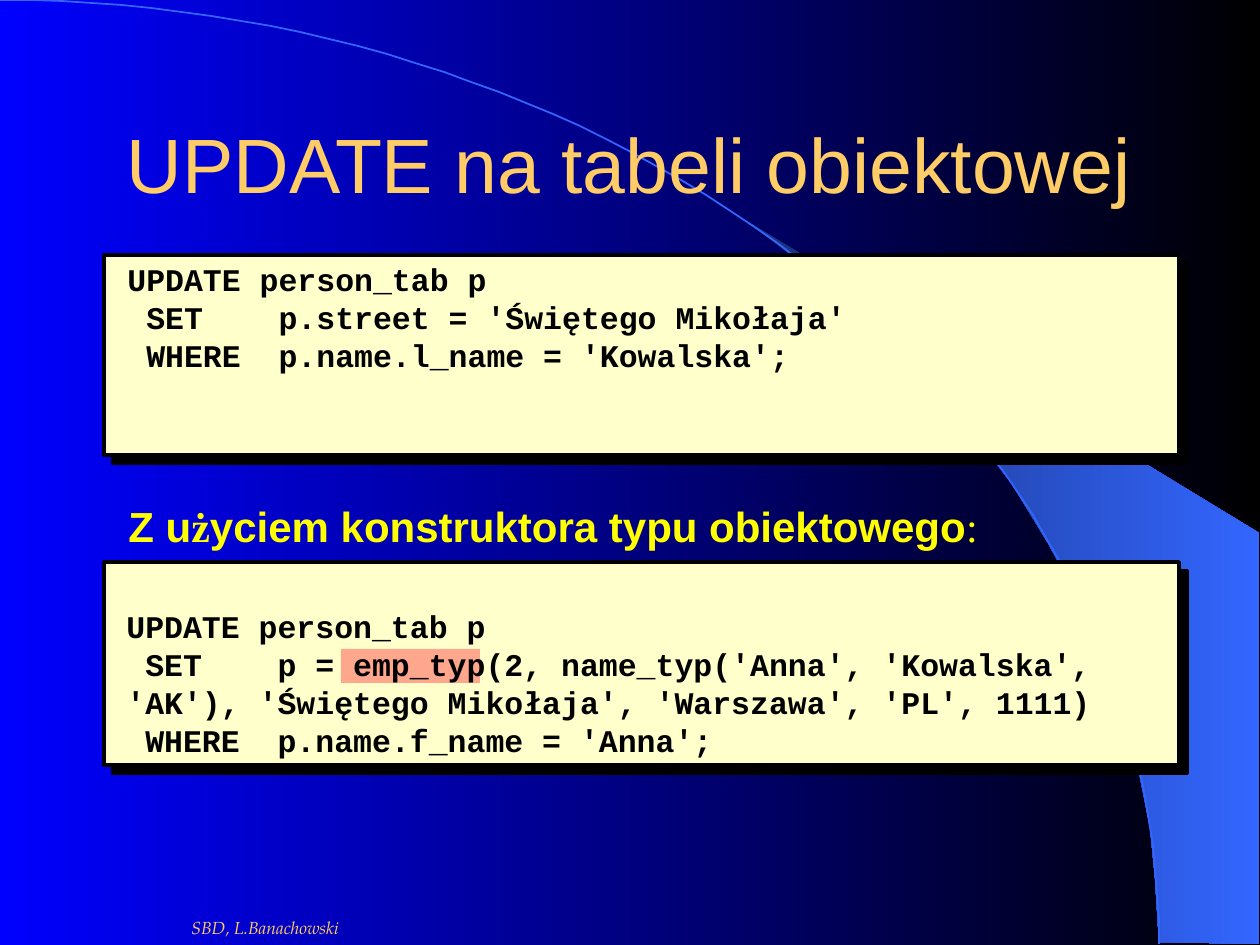
import math
import pptx
import pptx.util
import pptx.dml.color
import pptx.enum.shapes
import pptx.enum.text
import pptx.oxml
import pptx.oxml.ns

RGB = pptx.dml.color.RGBColor
BLUE = RGB(0x00, 0x00, 0xFF)
BLACK = RGB(0x00, 0x00, 0x00)
NAVY = RGB(0x18, 0x2F, 0x76)
SKY = RGB(0x33, 0x66, 0xFF)
GOLD = RGB(0xFF, 0xCC, 0x66)
CREAM = RGB(0xFF, 0xFF, 0xCC)
RED = RGB(0xFF, 0x50, 0x50)
YELLOW = RGB(0xFF, 0xFF, 0x00)

SCALE = 914400 / 126
NAMESPACE = pptx.oxml.ns.nsdecls("a")
SHADOW = (
    f'<a:effectLst {NAMESPACE}><a:outerShdw dist="90170" dir="2700000" '
    'algn="ctr" rotWithShape="0"><a:srgbClr val="000000"/></a:outerShdw></a:effectLst>'
)
ALPHA = f'<a:alpha {NAMESPACE} val="50000"/>'

BAND = [
    (1159, 942), (1259, 944), (1259, 533), (742, 218), (786, 251), (823, 280),
    (863, 315), (902, 353), (960, 416), (1012, 484), (1048, 543), (1081, 604),
    (1106, 665), (1125, 721), (1138, 767), (1150, 827), (1155, 877),
]
ARC_WIDTH, ARC_HEIGHT, ARC_STEPS = 1159, 944, 60

FIRST_UPDATE = [
    "UPDATE person_tab p",
    " SET    p.street = 'Świętego Mikołaja'",
    " WHERE  p.name.l_name = 'Kowalska';",
]
SECOND_UPDATE = [
    "UPDATE person_tab p",
    " SET    p = emp_typ(2, name_typ('Anna', 'Kowalska', 'AK'), "
    "'Świętego Mikołaja', 'Warszawa', 'PL', 1111)",
    " WHERE  p.name.f_name = 'Anna';",
]


def px(length):
    return pptx.util.Emu(round(length * SCALE))


class SlideBuilder:
    def __init__(self, deck):
        self.slide = deck.slides.add_slide(deck.slide_layouts[6])
        self.shapes = self.slide.shapes

    def gradient(self, fill, start, end):
        fill.gradient()
        fill.gradient_angle = 0
        for stop, color in zip(fill.gradient_stops, (start, end)):
            stop.color.rgb = color

    def outline(self, points, close):
        builder = self.shapes.build_freeform(*points[0], scale=SCALE)
        builder.add_line_segments(points[1:], close=close)
        shape = builder.convert_to_shape()
        shape.shadow.inherit = False
        return shape

    def band(self, points):
        shape = self.outline(points, True)
        self.gradient(shape.fill, NAVY, SKY)
        shape.line.fill.background()

    def arc(self, width, height, steps):
        angles = [math.pi / 2 * step / steps for step in range(steps + 1)]
        points = [
            (round(width * math.sin(angle), 2), round(height * (1 - math.cos(angle)), 2))
            for angle in angles
        ]
        shape = self.outline(points, False)
        shape.fill.background()
        shape.line.color.rgb = SKY
        shape.line.width = pptx.util.Pt(1)

    def rectangle(self, left, top, width, height, color):
        shape = self.shapes.add_shape(
            pptx.enum.shapes.MSO_SHAPE.RECTANGLE, px(left), px(top), px(width), px(height)
        )
        shape.shadow.inherit = False
        shape.fill.solid()
        shape.fill.fore_color.rgb = color
        shape.line.fill.background()
        return shape

    def panel(self, left, top, width, height):
        shape = self.rectangle(left, top, width, height, CREAM)
        shape.line.color.rgb = BLACK
        shape.line.width = pptx.util.Pt(2)
        properties = shape._element.spPr
        properties.remove(properties.find(pptx.oxml.ns.qn("a:effectLst")))
        properties.append(pptx.oxml.parse_xml(SHADOW))

    def highlight(self, left, top, width, height):
        shape = self.rectangle(left, top, width, height, RED)
        color = shape._element.spPr.find(".//" + pptx.oxml.ns.qn("a:srgbClr"))
        color.append(pptx.oxml.parse_xml(ALPHA))

    def text(self, left, top, width, height, lines, size, color, font="Arial",
             bold=False, italic=False):
        box = self.shapes.add_textbox(px(left), px(top), px(width), px(height))
        frame = box.text_frame
        frame.word_wrap = True
        frame.text = "\n".join(lines)
        for para in frame.paragraphs:
            para.font.size = pptx.util.Pt(size)
            para.font.name = font
            para.font.color.rgb = color
            para.font.bold = bold
            para.font.italic = italic
        return frame

    def code(self, left, top, width, height, lines):
        self.text(left, top, width, height, lines, 18, BLACK, "Courier New", bold=True)

    def title(self, left, top, width, height, words):
        frame = self.text(left, top, width, height, [words], 44, GOLD)
        frame.vertical_anchor = pptx.enum.text.MSO_ANCHOR.MIDDLE
        frame.paragraphs[0].alignment = pptx.enum.text.PP_ALIGN.CENTER

    def heading(self, left, top, width, height, spans):
        frame = self.text(left, top, width, height, [""], 24, YELLOW)
        for words, font, bold in spans:
            span = frame.paragraphs[0].add_run()
            span.text = words
            span.font.name = font
            span.font.bold = bold
            span.font.size = pptx.util.Pt(24)
            span.font.color.rgb = YELLOW


def main():
    deck = pptx.Presentation()
    deck.slide_width = px(1260)
    deck.slide_height = px(945)
    page = SlideBuilder(deck)
    page.gradient(page.slide.background.fill, BLUE, BLACK)
    page.band(BAND)
    page.arc(ARC_WIDTH, ARC_HEIGHT, ARC_STEPS)
    page.text(179, 911, 725, 34, ["SBD, L.Banachowski"], 10, GOLD,
              "TeX Gyre Pagella", italic=True)
    page.panel(104, 562, 1075, 203)
    page.highlight(341, 649, 139, 34)
    page.code(114, 601, 1052, 164, SECOND_UPDATE)
    page.panel(104, 255, 1075, 200)
    page.code(115, 254, 1052, 126, FIRST_UPDATE)
    page.title(94, 84, 1071, 158, "UPDATE na tabeli obiektowej")
    page.heading(116, 494, 892, 63, [
        ("Z u", "Arial", True),
        ("ż", "Times New Roman", True),
        ("yciem konstruktora typu obiektowego", "Arial", True),
        (":", "Times New Roman", False),
    ])
    deck.save("out.pptx")


if __name__ == "__main__":
    main()
